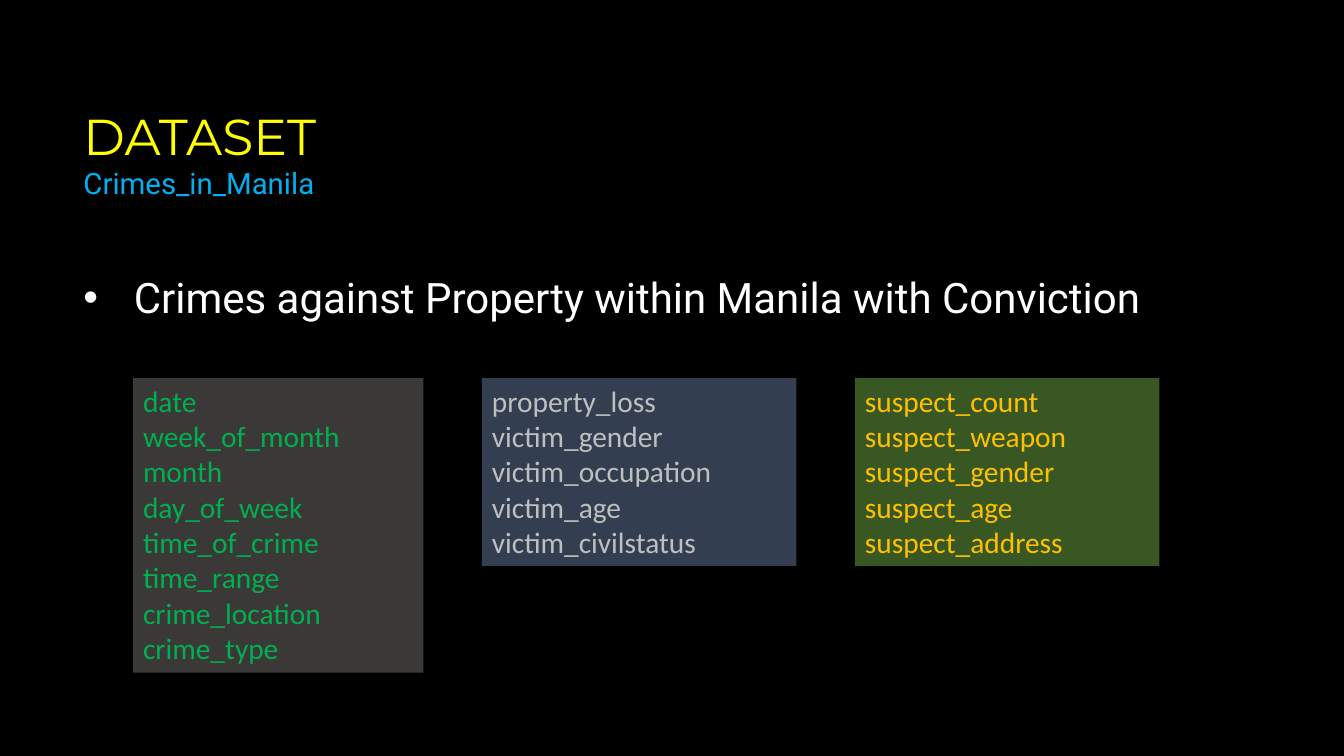
from dataclasses import dataclass

from lxml.etree import SubElement
from pptx import Presentation
from pptx.dml.color import RGBColor as Rgb
from pptx.enum.shapes import MSO_SHAPE as Shape
from pptx.enum.text import MSO_ANCHOR as Anchor, PP_ALIGN as Align
from pptx.oxml.ns import qn
from pptx.util import Inches, Pt

# Content: heading lines (text, style) and field groups (fill, ink, width, fields)
HEADING = [
    ("DATASET", "title"),
    ("Crimes_in_Manila", "subtitle"),
    ("Crimes against Property within Manila with Conviction", "topic"),
]
FIELD_GROUPS = [
    ("3B3838", "00B050", 2.88, [
        "date", "week_of_month", "month", "day_of_week",
        "time_of_crime", "time_range", "crime_location", "crime_type"]),
    ("333F50", "BFBFBF", 3.12, [
        "property_loss", "victim_gender", "victim_occupation",
        "victim_age", "victim_civilstatus"]),
    ("385723", "FFC000", 3.02, [
        "suspect_count", "suspect_weapon", "suspect_gender",
        "suspect_age", "suspect_address"]),
]


@dataclass(frozen=True)
class Theme:
    background: str = "000000"
    title: tuple = ("Montserrat", 36, "FFFF00")
    subtitle: tuple = ("Roboto", 21, "00B0F0")
    topic: tuple = ("Roboto", 30, "FFFFFF")
    field_font: str = "Calibri"
    field_size: int = 21


THEME = Theme()

# Layout in inches
HEADING_BOX = (0.73, 0.99, 12.04, 2.27)
GROUPS_LEFT, GROUPS_TOP, GROUP_GAP = 1.32, 3.75, 0.58
FIELD_ROW, GROUP_PADDING = 0.353, 0.1
TOPIC_GAP = Pt(51)
BULLET_INDENT = Inches(0.5)


def write_lines(frame, lines, styles):
    frame.word_wrap = True
    frame.vertical_anchor = Anchor.TOP
    frame.text = "\n".join(lines)
    for paragraph, (font_name, size, ink) in zip(frame.paragraphs, styles):
        paragraph.alignment = Align.LEFT
        font = paragraph.runs[0].font
        font.name, font.size = font_name, Pt(size)
        font.color.rgb = Rgb.from_string(ink)


def add_bullet(paragraph):
    properties = paragraph._p.get_or_add_pPr()
    properties.set("marL", str(BULLET_INDENT))
    properties.set("indent", str(-BULLET_INDENT))
    SubElement(properties, qn("a:buFont")).set("typeface", "Arial")
    SubElement(properties, qn("a:buChar")).set("char", "•")


def add_heading(slide):
    frame = slide.shapes.add_textbox(*map(Inches, HEADING_BOX)).text_frame
    write_lines(frame, [text for text, _ in HEADING],
                [getattr(THEME, style) for _, style in HEADING])
    topic = frame.paragraphs[-1]
    topic.space_before = TOPIC_GAP
    add_bullet(topic)


def add_field_groups(slide):
    left = GROUPS_LEFT
    for fill, ink, width, fields in FIELD_GROUPS:
        height = GROUP_PADDING + FIELD_ROW * len(fields)
        panel = slide.shapes.add_shape(
            Shape.RECTANGLE, *map(Inches, (left, GROUPS_TOP, width, height)))
        panel.shadow.inherit = False
        panel.fill.solid()
        panel.fill.fore_color.rgb = Rgb.from_string(fill)
        panel.line.fill.background()
        field_style = (THEME.field_font, THEME.field_size, ink)
        write_lines(panel.text_frame, fields, [field_style] * len(fields))
        left += width + GROUP_GAP


def main():
    deck = Presentation()
    deck.slide_width, deck.slide_height = Inches(13.33), Inches(7.5)
    slide = deck.slides.add_slide(deck.slide_layouts[6])
    slide.background.fill.solid()
    slide.background.fill.fore_color.rgb = Rgb.from_string(THEME.background)
    add_heading(slide)
    add_field_groups(slide)
    deck.save("out.pptx")


if __name__ == "__main__":
    main()
